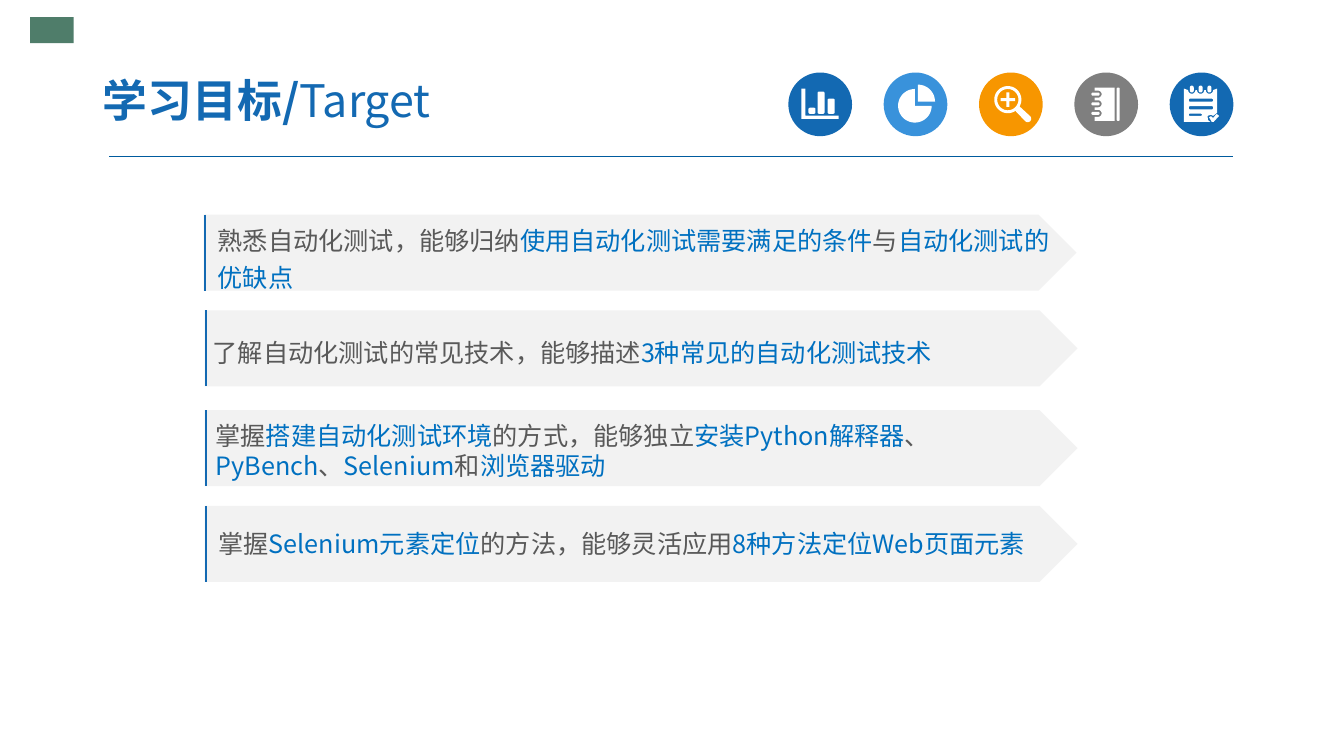
from math import cos, radians, sin

from lxml import etree
from pptx import Presentation
from pptx.dml.color import RGBColor
from pptx.enum import shapes, text
from pptx.oxml import ns
from pptx.util import Pt

BLUE = RGBColor(0x13, 0x69, 0xB2)
SKY = RGBColor(0x39, 0x92, 0xDB)
ORANGE = RGBColor(0xF7, 0x96, 0x00)
GREY = RGBColor(0x7F, 0x7F, 0x7F)
GREEN = RGBColor(0x4F, 0x7D, 0x6A)
RULE = RGBColor(0x00, 0x5B, 0x9E)
BAND = RGBColor(0xF2, 0xF2, 0xF2)
WHITE = RGBColor(0xFF, 0xFF, 0xFF)
PLAIN = RGBColor(0x59, 0x59, 0x59)
KEY = RGBColor(0x00, 0x70, 0xC0)
FONT = "Noto Sans CJK SC"

# Each goal: band left and top, text left, top, width and height within the
# band, line spacing, and phrases that alternate between plain and key.
GOALS = [
    (145.5, 153.4, (3, 0, 612, 59.8), 1.2,
     ["熟悉自动化测试，能够归纳", "使用自动化测试需要满足的条件", "与",
      "自动化测试的优缺点"]),
    (146.2, 221.8, (-1.4, 15.8, 577.4, 28.8), 1,
     ["了解自动化测试的常见技术，能够描述", "3种常见的自动化测试技术"]),
    (146.2, 293, (0.7, 3.6, 614.2, 51.1), 1,
     ["掌握", "搭建自动化测试环境", "的方式，能够独立", "安装Python解释器", "、",
      "PyBench", "、", "Selenium", "和", "浏览器驱动"]),
    (146.2, 361.4, (2.8, 12.3, 620.6, 28.8), 1,
     ["掌握", "Selenium元素定位", "的方法，能够灵活应用", "8种方法定位Web页面元素"]),
]


def arc(cx, cy, radius, start, end, steps=16):
    """Points along an arc; angles in degrees, clockwise from the right."""
    angles = [radians(start + (end - start) * i / steps) for i in range(steps + 1)]
    return [(cx + radius * cos(a), cy + radius * sin(a)) for a in angles]


def box(x, y, w, h, r=1):
    """Outline of a rectangle with rounded corners."""
    return (arc(x + r, y + r, r, 180, 270, 6) + arc(x + w - r, y + r, r, 270, 360, 6)
            + arc(x + w - r, y + h - r, r, 0, 90, 6) + arc(x + r, y + h - r, r, 90, 180, 6))


def bar_chart():
    axes = [(9.4, 11.5), (12.2, 11.5), (12.2, 30.9), (36, 30.9), (36, 33.1), (9.4, 33.1)]
    bars = [(14.4, 25.2), (20.9, 13.7), (28.1, 18.7)]
    return [axes] + [box(x, top, 5, 29.5 - top) for x, top in bars]


def pie_chart():
    return [[(24.5, 20.9)] + arc(24.5, 20.9, 12.2, -90, 0),
            [(22.3, 23.8)] + arc(22.3, 23.8, 12, 0, 270, 40)]


def magnifier():
    x, y, long, thin = 20.6, 19.4, 5.2, 1.1
    lens = arc(x, y, 9.7, 56, 390, 40) + arc(34.8, 33, 2.5, -45, 135)
    corners = [(thin, -long), (thin, -thin), (long, -thin), (long, thin), (thin, thin), (thin, long)]
    plus = corners + [(-dx, -dy) for dx, dy in corners]
    return [lens, arc(x, y, 7.6, 0, 360, 40), [(x + dx, y + dy) for dx, dy in plus]]


def notebook():
    rings = [15.5, 22.4, 29.2]
    page = [(14.4, 10.8), (28.8, 10.8), (28.8, 34.6), (14.4, 34.6)]
    for y in reversed(rings):
        page += [(14.4, y + 2.5)] + arc(17, y, 2.5, 90, -90) + [(14.4, y - 2.5)]
    return [page, box(30.2, 10.8, 2.2, 23.8)] + [box(12.2, y - 1.1, 5.8, 2.2) for y in rings]


def notepad():
    rings = [15.8, 22.1, 28.4]
    page = [(10.1, 11.5)]
    for x in rings:
        page += arc(x, 12.6, 2.6, 180, 0)
    page += [(33.8, 11.5), (33.8, 28.8), (31, 31), (29.5, 30.2), (27, 31),
             (27.4, 34), (29, 35.3), (10.1, 35.3)]
    tick = [(28.1, 32), (29.5, 31.2), (31, 32.5), (33.5, 29.6), (35.3, 31), (31.5, 35.2), (30, 35.2)]
    written = [box(13.7, 18.7, 17.3, 2.2), box(13.7, 24, 17.3, 2.4), box(13.7, 29.4, 9.3, 1.6, 0.8)]
    return [page, tick] + written + [box(x - 1.4, 9.4, 2.8, 4.9, 1.4) for x in rings]


def paint(shape, colour):
    shape.shadow.inherit = False
    shape.fill.solid()
    shape.fill.fore_color.rgb = colour
    shape.line.fill.background()


def add_preset(slide, kind, x, y, w, h, colour):
    paint(slide.shapes.add_shape(kind, Pt(x), Pt(y), Pt(w), Pt(h)), colour)


def add_line(slide, x1, y1, x2, y2, colour, width):
    line = slide.shapes.add_connector(
        shapes.MSO_CONNECTOR.STRAIGHT, Pt(x1), Pt(y1), Pt(x2), Pt(y2))
    line.line.color.rgb = colour
    line.line.width = Pt(width)
    etree.SubElement(line._element.spPr, ns.qn("a:effectLst"))


def set_font(paragraph, size):
    """Set size and typeface, for Latin and Chinese letters alike."""
    paragraph.font.size = Pt(size)
    paragraph.font.name = FONT
    latin = paragraph.font._element.find(ns.qn("a:latin"))
    east_asian = etree.Element(ns.qn("a:ea"), typeface=FONT)
    latin.addnext(east_asian)


def add_icon(slide, x, y, size, colour, contours):
    add_preset(slide, shapes.MSO_SHAPE.OVAL, x, y, size, size, colour)
    units = [[(px * 100, py * 100) for px, py in contour] for contour in contours]
    builder = slide.shapes.build_freeform(*units[0][0], scale=Pt(1) / 100)
    for i, contour in enumerate(units):
        if i:
            builder.move_to(*contour[0])
        builder.add_line_segments(contour[1:], close=True)
    paint(builder.convert_to_shape(Pt(x), Pt(y)), WHITE)


def add_header(slide, x, y, w, h):
    add_preset(slide, shapes.MSO_SHAPE.RECTANGLE, 21.6, 12.2, 31, 18.7, GREEN)
    add_line(slide, x + 13.8, y + 66.2, x + 816.5, y + 66.2, RULE, 0.75)
    icons = [(BLUE, bar_chart), (SKY, pie_chart), (ORANGE, magnifier),
             (GREY, notebook), (BLUE, notepad)]
    for i, (colour, contours) in enumerate(icons):
        add_icon(slide, x + 499 + 68.1 * i, y + 6.4, 45.5, colour, contours())

    title = slide.shapes.title
    title.left, title.top, title.width, title.height = Pt(x), Pt(y), Pt(w), Pt(h)
    frame = title.text_frame
    frame.margin_left = frame.margin_right = Pt(9.4)
    frame.margin_top = frame.margin_bottom = Pt(5)
    frame.vertical_anchor = text.MSO_ANCHOR.MIDDLE
    heading = frame.paragraphs[0]
    heading.alignment = text.PP_ALIGN.LEFT
    set_font(heading, 32)
    heading.font.color.rgb = BLUE
    for words, bold in (("学习目标/", True), ("Target", False)):
        run = heading.add_run()
        run.text = words
        run.font.bold = bold


def add_goal(slide, x, y, w, h, text_box, spacing, phrases):
    add_preset(slide, shapes.MSO_SHAPE.PENTAGON, x, y, w, h, BAND)
    add_line(slide, x + 0.7, y, x + 0.7, y + h, BLUE, 1.5)
    dx, dy, text_w, text_h = text_box
    goal = slide.shapes.add_textbox(Pt(x + dx), Pt(y + dy), Pt(text_w), Pt(text_h))
    frame = goal.text_frame
    frame.word_wrap = True
    frame.auto_size = text.MSO_AUTO_SIZE.SHAPE_TO_FIT_TEXT
    sentence = frame.paragraphs[0]
    sentence.line_spacing = spacing
    set_font(sentence, 18)
    for i, phrase in enumerate(phrases):
        run = sentence.add_run()
        run.text = phrase
        run.font.color.rgb = KEY if i % 2 else PLAIN


def main():
    deck = Presentation()
    deck.slide_width, deck.slide_height = Pt(960), Pt(540)
    slide = deck.slides.add_slide(deck.slide_layouts[5])
    add_header(slide, 64.1, 45.4, 375.8, 51.8)
    for x, y, text_box, spacing, phrases in GOALS:
        add_goal(slide, x, y, 623.5, 54.2, text_box, spacing, phrases)
    deck.save("out.pptx")


if __name__ == "__main__":
    main()
